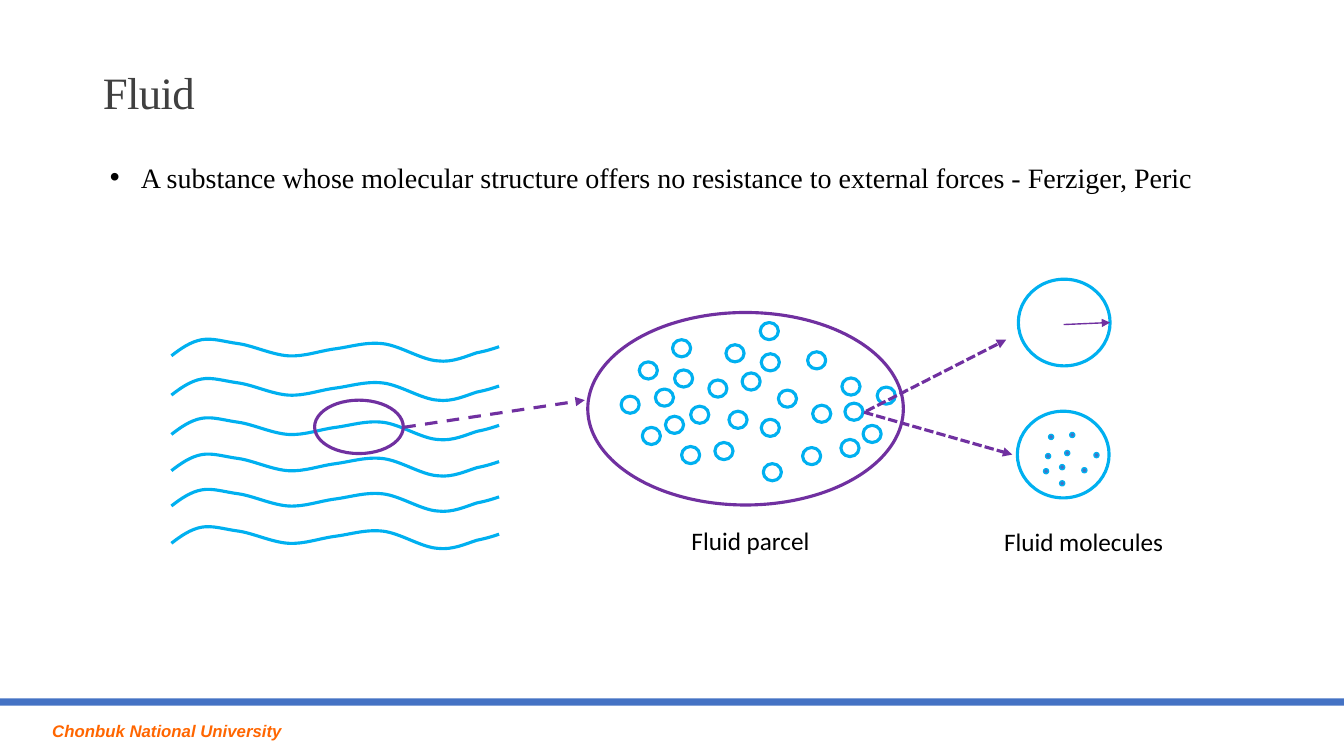
from pptx import Presentation
from pptx import util as u
from pptx.dml.color import RGBColor
from pptx.enum import dml, shapes, text
from pptx.oxml import ns, xmlchemy

CYAN = RGBColor(0x00, 0xB0, 0xF0)
PURPLE = RGBColor(0x70, 0x30, 0xA0)
BLUE = RGBColor(0x44, 0x72, 0xC4)
ORANGE = RGBColor(0xFF, 0x66, 0x00)
GRAY = RGBColor(0x40, 0x40, 0x40)
BLACK = RGBColor(0x00, 0x00, 0x00)

SERIF, SANS, FOOTER_FONT = "Times New Roman", "Calibri", "Arial"
DASH, SHORT_DASH = dml.MSO_LINE.DASH, dml.MSO_LINE.SQUARE_DOT

# One wave: start point, then cubic segments (two handles and an end),
# with heights measured from the start
WAVE_LEFT = 1.7
WAVE_CURVES = [
    ((1.79, -0.07), (1.89, -0.14), (2, -0.16)),
    ((2.11, -0.18), (2.22, -0.14), (2.37, -0.12)),
    ((2.51, -0.1), (2.7, -0.01), (2.86, 0)),
    ((3.02, 0.01), (3.17, -0.05), (3.33, -0.07)),
    ((3.48, -0.09), (3.63, -0.14), (3.8, -0.12)),
    ((3.97, -0.1), (4.18, 0.04), (4.34, 0.05)),
    ((4.49, 0.07), (4.63, 0), (4.73, -0.03)),
    ((4.83, -0.05), (4.89, -0.07), (4.95, -0.09)),
]
WAVE_HEIGHTS = [3.53, 3.92, 4.31, 4.67, 5.02, 5.39]

PARCEL_PARTICLES = [
    (6.34, 3.59), (6.16, 3.93), (6.5, 3.86), (6.67, 3.37), (6.69, 3.67),
    (6.37, 4.24), (6.6, 4.13), (6.76, 4.43), (6.85, 4.03), (7.2, 3.42),
    (7.03, 3.77), (7.36, 3.7), (7.54, 3.2), (7.55, 3.51), (7.23, 4.08),
    (7.55, 4.16), (7.09, 4.39), (7.72, 3.87), (8.35, 3.75), (8.06, 4.02),
    (8.38, 4), (8.34, 4.36), (8.7, 3.84), (7.96, 4.44), (8.56, 4.22),
    (7.57, 4.6), (8.01, 3.49),
]
MOLECULES = [
    (10.4, 4.31), (10.56, 4.47), (10.73, 4.64), (10.35, 4.65), (10.37, 4.5),
    (10.61, 4.29), (10.51, 4.61), (10.85, 4.49), (10.51, 4.77),
]


class FluidSlide:
    line_width = 2.25

    def __init__(self, deck):
        self.page = deck.slides.add_slide(deck.slide_layouts[5])
        self.shapes = self.page.shapes

    def _outline(self, shape, color, width=None):
        shape.line.color.rgb = color
        shape.line.width = u.Pt(width or self.line_width)

    def _write(self, box, words, font, size, color):
        box.text_frame.text = words
        para = box.text_frame.paragraphs[0]
        para.alignment = text.PP_ALIGN.LEFT
        span = para.runs[0]
        span.font.name, span.font.size = font, u.Pt(size)
        span.font.color.rgb = color
        return para

    def title(self, at, words):
        box = self.shapes.title
        box.left, box.top, box.width, box.height = map(u.Inches, at)
        para = self._write(box, words, SERIF, 32, GRAY)
        box.text_frame.auto_size = text.MSO_AUTO_SIZE.NONE
        box.text_frame.vertical_anchor = text.MSO_ANCHOR.BOTTOM
        para.line_spacing = 0.85
        para.runs[0]._r.get_or_add_rPr().set("spc", "-50")

    def label(self, at, words, font=SANS, size=18, color=BLACK, wrap=False):
        box = self.shapes.add_textbox(*map(u.Inches, at))
        box.text_frame.word_wrap = wrap
        return self._write(box, words, font, size, color)

    def bullet(self, at, words):
        para = self.label(at, words, SERIF, 20, wrap=True)
        props = para._p.get_or_add_pPr()
        indent = u.Inches(0.31)
        props.set("marL", str(indent))
        props.set("indent", str(-indent))
        for tag, key, value in (("a:buFont", "typeface", "Arial"), ("a:buChar", "char", "•")):
            mark = xmlchemy.OxmlElement(tag)
            mark.set(key, value)
            props.append(mark)

    def bar(self, at, color):
        bar = self.shapes.add_shape(shapes.MSO_SHAPE.RECTANGLE, *map(u.Inches, at))
        bar.shadow.inherit = False
        bar.fill.solid()
        bar.fill.fore_color.rgb = color
        bar.line.fill.background()

    def ellipse(self, at, color, width=None, fill=None):
        oval = self.shapes.add_shape(shapes.MSO_SHAPE.OVAL, *map(u.Inches, at))
        oval.shadow.inherit = False
        if fill is None:
            oval.fill.background()
        else:
            oval.fill.solid()
            oval.fill.fore_color.rgb = fill
        self._outline(oval, color, width)

    def wave(self, left, height, curves, color):
        ends = [(u.Inches(x), u.Inches(height + y)) for *_, (x, y) in curves]
        builder = self.shapes.build_freeform(u.Inches(left), u.Inches(height), scale=1.0)
        builder.add_line_segments(ends, close=False)
        wave = builder.convert_to_shape()
        wave.shadow.inherit = False
        wave.fill.background()
        self._outline(wave, color)
        # Turn each straight segment into a cubic curve
        segments = list(wave._element.iter(ns.qn("a:lnTo")))
        for segment, points in zip(segments, curves):
            cubic = xmlchemy.OxmlElement("a:cubicBezTo")
            for x, y in points:
                point = xmlchemy.OxmlElement("a:pt")
                point.set("x", str(u.Inches(x) - wave.left))
                point.set("y", str(u.Inches(height + y) - wave.top))
                cubic.append(point)
            segment.getparent().replace(segment, cubic)

    def arrow(self, start, end, color, width=None, dash=None):
        arrow = self.shapes.add_connector(
            shapes.MSO_CONNECTOR.STRAIGHT, *map(u.Inches, (*start, *end)))
        self._outline(arrow, color, width)
        if dash is not None:
            arrow.line.dash_style = dash
        props = arrow._element.spPr
        head = xmlchemy.OxmlElement("a:tailEnd")
        head.set("type", "triangle")
        props.find(ns.qn("a:ln")).append(head)
        props.append(xmlchemy.OxmlElement("a:effectLst"))


def main():
    deck = Presentation()
    deck.slide_width, deck.slide_height = u.Inches(13.33), u.Inches(7.5)
    slide = FluidSlide(deck)

    # Footer
    slide.bar((0, 6.93, 13.33, 0.07), BLUE)
    footer = slide.label((0.42, 7.1, 3.17, 0.3), "Chonbuk National University",
                         FOOTER_FONT, 12, ORANGE, wrap=True)
    footer.runs[0].font.bold = footer.runs[0].font.italic = True

    # Title and definition
    slide.title((0.92, 0.4, 11.5, 0.83), "Fluid")
    slide.bullet((0.99, 1.54, 11.35, 0.44),
                 "A substance whose molecular structure offers no resistance "
                 "to external forces - Ferziger, Peric")

    # Flowing fluid
    for height in WAVE_HEIGHTS:
        slide.wave(WAVE_LEFT, height, WAVE_CURVES, CYAN)
    slide.ellipse((3.12, 3.97, 0.88, 0.53), PURPLE)
    slide.arrow((4, 4.24), (5.8, 3.97), PURPLE, dash=DASH)

    # Fluid parcel
    slide.ellipse((5.83, 3.1, 3.13, 1.91), PURPLE)
    for left, top in PARCEL_PARTICLES:
        slide.ellipse((left, top, 0.18, 0.17), CYAN)
    slide.label((6.76, 5.16, 1.39, 0.4), "Fluid parcel")

    # Fluid molecules
    slide.arrow((8.59, 4.08), (9.98, 3.37), PURPLE, dash=SHORT_DASH)
    slide.arrow((8.57, 4.09), (10.04, 4.51), PURPLE, dash=SHORT_DASH)
    slide.ellipse((10.1, 2.77, 0.91, 0.86), CYAN)
    slide.arrow((10.55, 3.22), (11.01, 3.2), PURPLE, width=1)
    slide.ellipse((10.09, 4.08, 0.91, 0.86), CYAN)
    for left, top in MOLECULES:
        slide.ellipse((left, top, 0.05, 0.05), CYAN, width=1, fill=BLUE)
    slide.label((9.86, 5.17, 1.8, 0.4), "Fluid molecules")

    deck.save("out.pptx")


if __name__ == "__main__":
    main()
